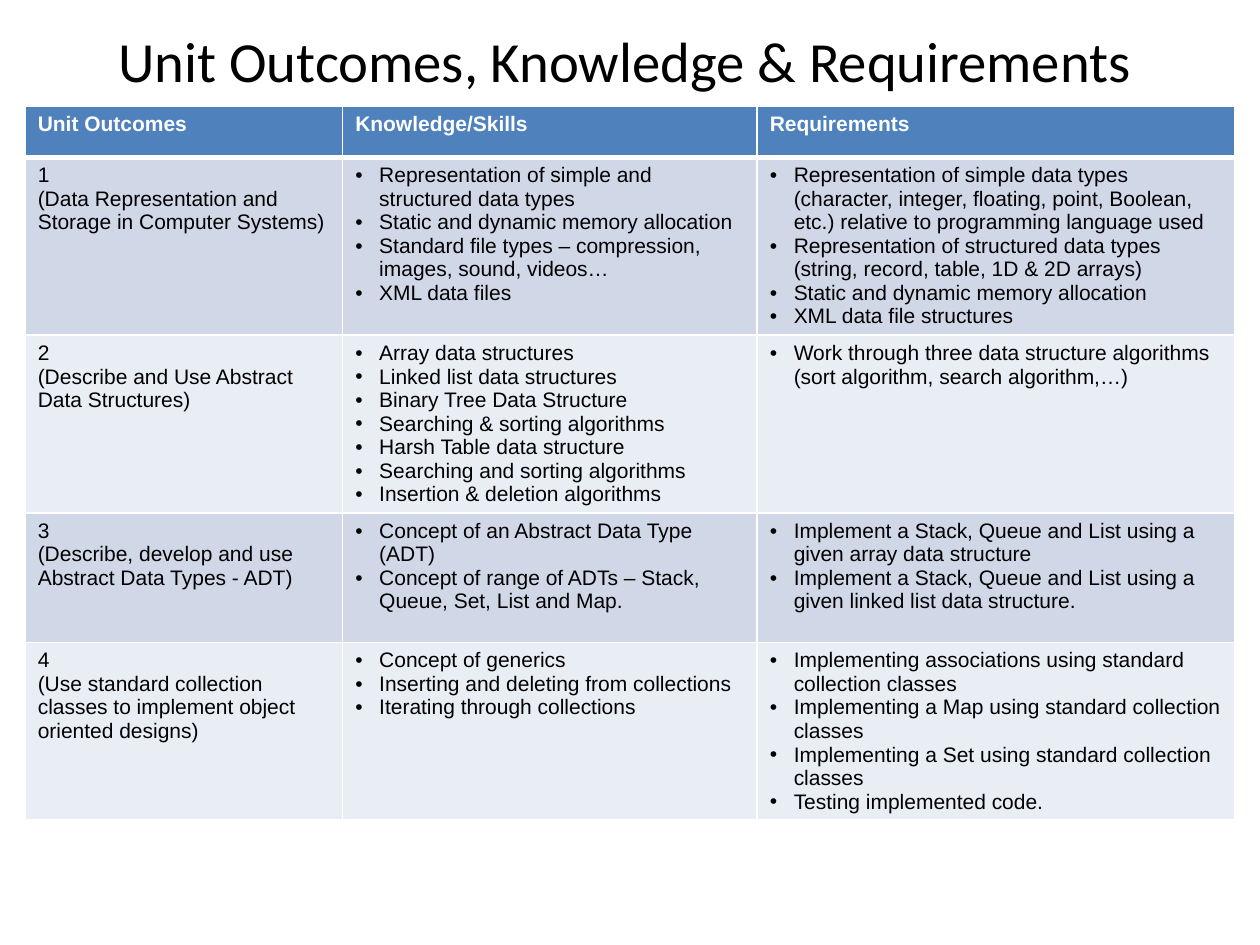
import pptx
import pptx.util
import pptx.dml.color
import pptx.enum.text
import pptx.oxml
import pptx.oxml.ns
from dataclasses import dataclass

Inches = pptx.util.Inches
Pt = pptx.util.Pt


@dataclass
class Theme:
    ink: str = "000000"
    white: str = "FFFFFF"
    head: str = "4F81BD"
    bands: tuple = ("D0D8E8", "E9EDF4")
    title: float = 32.4
    text: float = 12
    thin: float = 1
    thick: float = 3
    indent: float = 0.19


HEADS = ["Unit Outcomes", "Knowledge/Skills", "Requirements"]
WIDTHS = [2.52, 3.29, 3.79]
HEIGHTS = [0.41, 1.41, 1.41, 1.03, 1.41]
UNITS = [
    (
        "(Data Representation and Storage in Computer Systems)",
        [
            "Representation of simple and structured data types",
            "Static and dynamic memory allocation",
            "Standard file types – compression, images, sound, videos…",
            "XML data files",
        ],
        [
            "Representation of simple data types (character, integer, floating, "
            "point, Boolean, etc.) relative to programming language used",
            "Representation of structured data types "
            "(string, record, table, 1D & 2D arrays)",
            "Static and dynamic memory allocation",
            "XML data file structures",
        ],
    ),
    (
        "(Describe and Use Abstract Data Structures)",
        [
            "Array data structures",
            "Linked list data structures",
            "Binary Tree Data Structure",
            "Searching & sorting algorithms",
            "Harsh Table data structure",
            "Searching and sorting algorithms",
            "Insertion & deletion algorithms",
        ],
        [
            "Work through three data structure algorithms "
            "(sort algorithm, search algorithm,…)",
        ],
    ),
    (
        "(Describe, develop and use Abstract Data Types - ADT)",
        [
            "Concept of an Abstract Data Type (ADT)",
            "Concept of range of ADTs – Stack, Queue, Set, List and Map.",
        ],
        [
            "Implement a Stack, Queue and List using a given array data structure",
            "Implement a Stack, Queue and List using a given "
            "linked list data structure.",
        ],
    ),
    (
        "(Use standard collection classes to implement object oriented designs)",
        [
            "Concept of generics",
            "Inserting and deleting from collections",
            "Iterating through collections",
        ],
        [
            "Implementing associations using standard collection classes",
            "Implementing a Map using standard collection classes",
            "Implementing a Set using standard collection classes",
            "Testing implemented code.",
        ],
    ),
]


class Deck:
    def __init__(self, theme):
        self.theme = theme
        self.prs = pptx.Presentation()
        self.prs.slide_width, self.prs.slide_height = Inches(10), Inches(7.5)
        self.slide = self.prs.slides.add_slide(self.prs.slide_layouts[5])

    def color(self, code):
        return pptx.dml.color.RGBColor.from_string(code)

    def run(self, para, text, size, code, face, bold=False):
        run = para.add_run()
        run.text = text
        run.font.name, run.font.size, run.font.bold = face, Pt(size), bold
        run.font.color.rgb = self.color(code)

    def title(self, text, left, top, width, height):
        box = self.slide.shapes.title
        box.left, box.top = Inches(left), Inches(top)
        box.width, box.height = Inches(width), Inches(height)
        frame = box.text_frame
        frame.word_wrap = True
        frame.auto_size = pptx.enum.text.MSO_AUTO_SIZE.NONE
        frame.vertical_anchor = pptx.enum.text.MSO_ANCHOR.MIDDLE
        para = frame.paragraphs[0]
        para.alignment = pptx.enum.text.PP_ALIGN.CENTER
        self.run(para, text, self.theme.title, self.theme.ink, "Calibri")

    def bullet(self, para):
        props = para._p.get_or_add_pPr()
        gap = Inches(self.theme.indent)
        props.set("marL", str(gap))
        props.set("indent", str(-gap))
        space = pptx.oxml.ns.nsdecls("a")
        props.append(pptx.oxml.parse_xml(f'<a:buFont {space} typeface="Arial"/>'))
        props.append(pptx.oxml.parse_xml(f'<a:buChar {space} char="•"/>'))

    def border(self, cell, row):
        thick = {0: "B", 1: "T"}.get(row)
        props = cell._tc.get_or_add_tcPr()
        for side in "LRTB":
            width = self.theme.thick if side == thick else self.theme.thin
            props.append(pptx.oxml.parse_xml(
                f'<a:ln{side} {pptx.oxml.ns.nsdecls("a")} w="{Pt(width)}">'
                f'<a:solidFill><a:srgbClr val="{self.theme.white}"/></a:solidFill>'
                f'</a:ln{side}>'))

    def cell(self, cell, row, lines, listed):
        look = self.theme
        self.border(cell, row)
        cell.fill.solid()
        fill = look.bands[(row - 1) % 2] if row else look.head
        cell.fill.fore_color.rgb = self.color(fill)
        frame = cell.text_frame
        for spot, line in enumerate(lines):
            para = frame.add_paragraph() if spot else frame.paragraphs[0]
            if listed:
                self.bullet(para)
            code = look.ink if row else look.white
            self.run(para, line, look.text, code, "Arial", row == 0)

    def table(self, rows, left, top, widths, heights):
        grid = self.slide.shapes.add_table(
            len(rows), len(widths), Inches(left), Inches(top),
            Inches(sum(widths)), Inches(sum(heights))).table
        for col, width in zip(grid.columns, widths):
            col.width = Inches(width)
        for row, lists in enumerate(rows):
            grid.rows[row].height = Inches(heights[row])
            for col, lines in enumerate(lists):
                self.cell(grid.cell(row, col), row, lines, row > 0 and col > 0)


def main():
    deck = Deck(Theme())
    deck.title("Unit Outcomes, Knowledge & Requirements", 0.46, 0.13, 9, 0.69)
    rows = [[[head] for head in HEADS]]
    for num, (name, skills, needs) in enumerate(UNITS, 1):
        rows.append([[str(num), name], skills, needs])
    deck.table(rows, 0.2, 0.84, WIDTHS, HEIGHTS)
    deck.prs.save("out.pptx")


if __name__ == "__main__":
    main()
